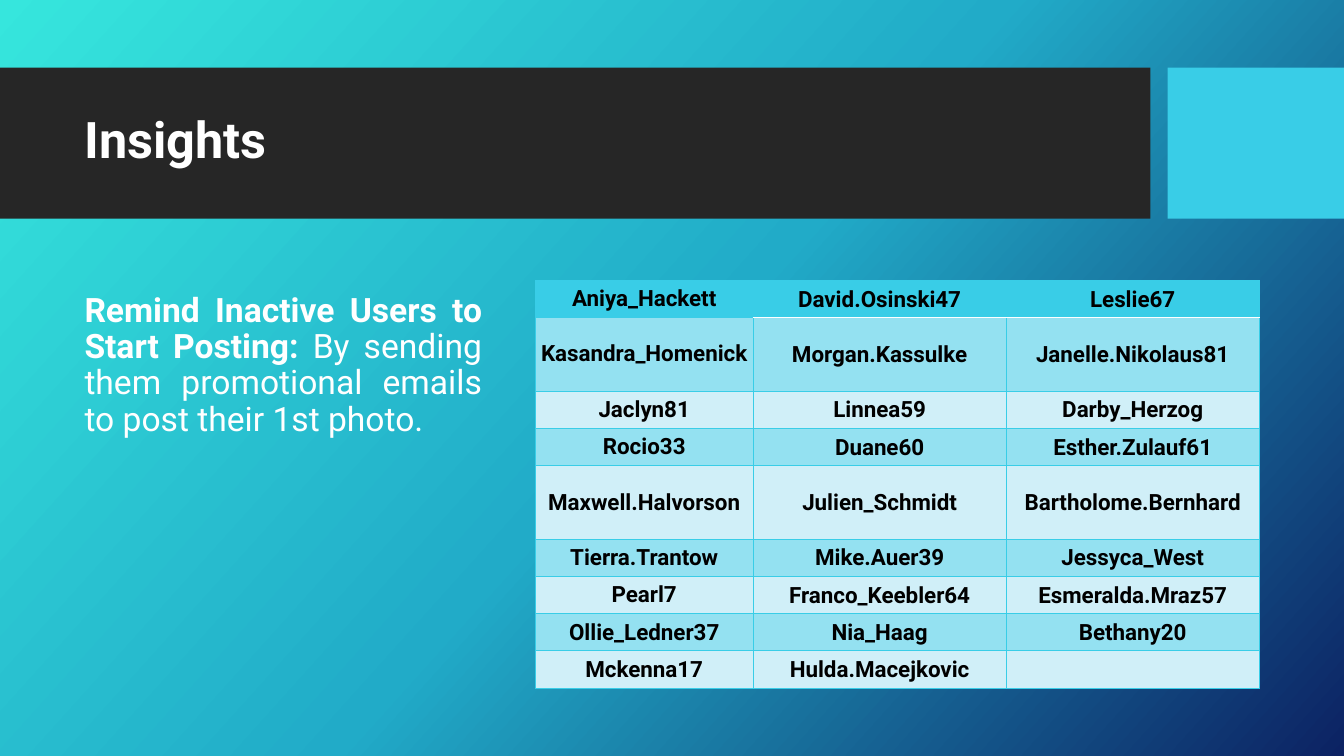
from copy import deepcopy
from dataclasses import dataclass

from lxml import etree
from pptx import Presentation
from pptx.dml.color import RGBColor
from pptx.enum.shapes import MSO_SHAPE
from pptx.enum.text import MSO_ANCHOR, PP_ALIGN
from pptx.oxml.ns import qn
from pptx.util import Inches, Pt

RECTANGLE = MSO_SHAPE.RECTANGLE
MIDDLE = MSO_ANCHOR.MIDDLE
LEFT, CENTER, JUSTIFY = PP_ALIGN.LEFT, PP_ALIGN.CENTER, PP_ALIGN.JUSTIFY

FONT = "Roboto"
WHITE, BLACK, CHARCOAL = "FFFFFF", "000000", "262626"
CYAN, BAND, PALE = "39CDE7", "94E1F1", "D0EFF8"
BACKGROUND_STOPS = [(0, "36E6DD"), (0.5, "21ABC8"), (1, "0C2263")]
BACKGROUND_ANGLE = 42

COLUMN_WIDTHS = [2.16, 2.51, 2.51]
ROW_HEIGHT, TALL_ROW_HEIGHT = 0.37, 0.73
TALL_ROWS = {1, 4}
USERS = [
    ["Aniya_Hackett", "David.Osinski47", "Leslie67"],
    ["Kasandra_Homenick", "Morgan.Kassulke", "Janelle.Nikolaus81"],
    ["Jaclyn81", "Linnea59", "Darby_Herzog"],
    ["Rocio33", "Duane60", "Esther.Zulauf61"],
    ["Maxwell.Halvorson", "Julien_Schmidt", "Bartholome.Bernhard"],
    ["Tierra.Trantow", "Mike.Auer39", "Jessyca_West"],
    ["Pearl7", "Franco_Keebler64", "Esmeralda.Mraz57"],
    ["Ollie_Ledner37", "Nia_Haag", "Bethany20"],
    ["Mckenna17", "Hulda.Macejkovic", ""],
]


@dataclass
class Frame:
    left: float
    top: float
    width: float
    height: float

    def lengths(self) -> list:
        return [Inches(n) for n in (self.left, self.top, self.width, self.height)]


@dataclass
class Panel:
    frame: Frame
    color: str


@dataclass
class Span:
    text: str
    bold: bool


@dataclass
class TextBlock:
    frame: Frame
    spans: list[Span]
    size: int
    align: PP_ALIGN
    space_before: int = 0


PANELS = [
    Panel(Frame(0, 0.67, 11.41, 1.5), CHARCOAL),
    Panel(Frame(11.58, 0.67, 1.75, 1.5), CYAN),
]
TEXT_BLOCKS = [
    TextBlock(Frame(0.74, 0.82, 10.51, 1.18), [Span("Insights", True)], 36, LEFT),
    TextBlock(
        Frame(0.74, 2.56, 4.14, 2.14),
        [
            Span("Remind Inactive Users to Start Posting:", True),
            Span(" By sending them promotional emails to post their 1st photo.", False),
        ],
        24,
        JUSTIFY,
        10,
    ),
]
TABLE_FRAME = Frame(5.31, 2.78, 7.18, 4.05)


def rgb(color: str) -> RGBColor:
    return RGBColor.from_string(color)


def style_font(font, size: int, color: str, bold: bool) -> None:
    font.name, font.size, font.bold = FONT, Pt(size), bold
    font.color.rgb = rgb(color)


def paint_background(page) -> None:
    fill = page.background.fill
    fill.gradient()
    fill.gradient_angle = 360 - BACKGROUND_ANGLE
    stop_list = page._element.find(".//" + qn("a:gsLst"))
    stop_list.append(deepcopy(stop_list[0]))
    for stop, (position, color) in zip(fill.gradient_stops, BACKGROUND_STOPS):
        stop.position = position
        stop.color.rgb = rgb(color)


def draw_panel(page, panel: Panel) -> None:
    shape = page.shapes.add_shape(RECTANGLE, *panel.frame.lengths())
    shape.shadow.inherit = False
    shape.fill.solid()
    shape.fill.fore_color.rgb = rgb(panel.color)
    shape.line.fill.background()


def draw_text(page, block: TextBlock) -> None:
    text_frame = page.shapes.add_textbox(*block.frame.lengths()).text_frame
    text_frame.word_wrap = True
    text_frame.vertical_anchor = MIDDLE
    para = text_frame.paragraphs[0]
    para.alignment = block.align
    para.line_spacing = 0.9
    para.space_before = Pt(block.space_before)
    for span in block.spans:
        run = para.add_run()
        run.text = span.text
        style_font(run.font, block.size, WHITE, span.bold)


def add_border(cell, side: str, color: str, width: float) -> None:
    properties = cell._tc.get_or_add_tcPr()
    line = etree.SubElement(properties, qn(f"a:ln{side}"), w=str(Pt(width)))
    fill = etree.SubElement(line, qn("a:solidFill"))
    etree.SubElement(fill, qn("a:srgbClr"), val=color)


def draw_cell(cell, text: str, row: int, column: int) -> None:
    cell.text_frame.text = text
    cell.vertical_anchor = MIDDLE
    cell.margin_left = cell.margin_right = cell.margin_top = Inches(0.01)
    cell.margin_bottom = Inches(0.01 if column == 0 else 0)
    para = cell.text_frame.paragraphs[0]
    para.alignment = CENTER
    style_font(para.font, 16, BLACK, True)
    for run in para.runs:
        style_font(run.font, 16, BLACK, True)
    for side in "LRTB":
        under_header = (row, side) in {(0, "B"), (1, "T")}
        if under_header and column > 0:
            add_border(cell, side, WHITE, 1)
        else:
            add_border(cell, side, CYAN, 0.75)
    cell.fill.solid()
    color = CYAN if row == 0 else BAND if row % 2 else PALE
    cell.fill.fore_color.rgb = rgb(color)


def draw_users(page) -> None:
    table = page.shapes.add_table(
        len(USERS), len(COLUMN_WIDTHS), *TABLE_FRAME.lengths()
    ).table
    for column, width in zip(table.columns, COLUMN_WIDTHS):
        column.width = Inches(width)
    for row, names in enumerate(USERS):
        height = TALL_ROW_HEIGHT if row in TALL_ROWS else ROW_HEIGHT
        table.rows[row].height = Inches(height)
        for column, name in enumerate(names):
            draw_cell(table.cell(row, column), name, row, column)


def main() -> None:
    deck = Presentation()
    deck.slide_width, deck.slide_height = Inches(13.33), Inches(7.5)
    page = deck.slides.add_slide(deck.slide_layouts[6])
    paint_background(page)
    for panel in PANELS:
        draw_panel(page, panel)
    for block in TEXT_BLOCKS:
        draw_text(page, block)
    draw_users(page)
    deck.save("out.pptx")


if __name__ == "__main__":
    main()
